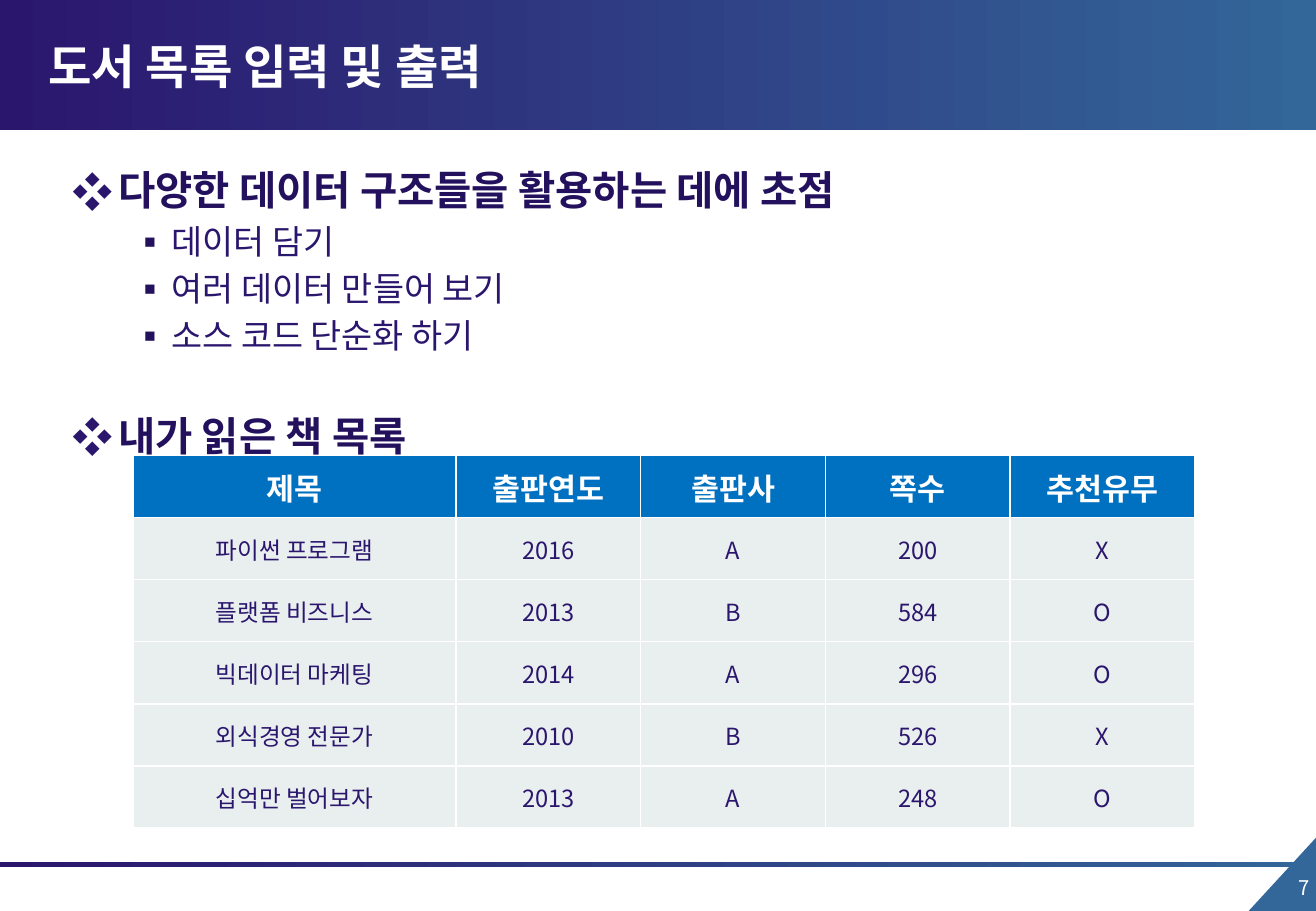
from dataclasses import dataclass

from lxml.etree import SubElement
from pptx import Presentation
from pptx.dml.color import RGBColor
from pptx.enum.shapes import MSO_SHAPE as Shp
from pptx.enum.text import MSO_ANCHOR as Anchor, PP_ALIGN as Align
from pptx.oxml.ns import qn
from pptx.util import Pt

W, H = 780, 540
KR = "Noto Sans CJK KR"
COLORS = {
    "navy": "2B166E",
    "ink": "23115D",
    "steel": "336699",
    "head": "0070C0",
    "row": "E9EEEE",
    "white": "FFFFFF",
}


@dataclass(frozen=True)
class Font:
    size: float
    color: str
    bold: bool = False
    latin: str = KR


@dataclass(frozen=True)
class Level:
    font: Font
    bullet: str
    bullet_color: str
    margin: float
    indent: float
    line: float


@dataclass(frozen=True)
class Item:
    level: Level
    text: str
    before: float


@dataclass(frozen=True)
class Box:
    left: float
    top: float
    width: float
    height: float

    def lengths(self) -> list:
        return [Pt(v) for v in (self.left, self.top, self.width, self.height)]


TITLE = Font(28, "white", True)
NUMBER = Font(12, "white")
HEAD_CELL = Font(18, "white", True)
BODY_CELL = Font(14, "navy")
HEADING = Level(Font(24, "ink", True, "Arial"), "❖", "navy", 27, -27, 29.3)
POINT = Level(Font(20, "navy", False, "Arial"), "▪", "ink", 58.5, -22.5, 23.85)

ITEMS = [
    Item(HEADING, "다양한 데이터 구조들을 활용하는 데에 초점", 0),
    Item(POINT, "데이터 담기", 4),
    Item(POINT, "여러 데이터 만들어 보기", 4),
    Item(POINT, "소스 코드 단순화 하기", 4),
    Item(HEADING, "내가 읽은 책 목록", 32.6),
]
BOOKS = [
    ("제목", "출판연도", "출판사", "쪽수", "추천유무"),
    ("파이썬 프로그램", "2016", "A", "200", "X"),
    ("플랫폼 비즈니스", "2013", "B", "584", "O"),
    ("빅데이터 마케팅", "2014", "A", "296", "O"),
    ("외식경영 전문가", "2010", "B", "526", "X"),
    ("십억만 벌어보자", "2013", "A", "248", "O"),
]
COL_WIDTHS = [191.5] + [109.5] * 4
ROW_HEIGHT = 36.8


def rgb(name: str) -> RGBColor:
    return RGBColor.from_string(COLORS[name])


def assign(target, values: dict) -> None:
    for name, value in values.items():
        setattr(target, name, value)


def add_run(p, text: str, font: Font) -> None:
    r = p.add_run()
    r.text = text
    assign(r.font, {"size": Pt(font.size), "bold": font.bold, "name": font.latin})
    r.font.color.rgb = rgb(font.color)
    SubElement(r.font._element, qn("a:ea"), typeface=KR)


def add_plain(s, shape: Shp, box: Box):
    sp = s.shapes.add_shape(shape, *box.lengths())
    sp.shadow.inherit = False
    sp.line.fill.background()
    return sp


def add_band(s, box: Box) -> None:
    fill = add_plain(s, Shp.RECTANGLE, box).fill
    fill.gradient()
    fill.gradient_angle = 0
    for stop, color, position in zip(fill.gradient_stops, ("navy", "steel"), (0, 1)):
        stop.color.rgb = rgb(color)
        stop.position = position


def add_corner(s, box: Box) -> None:
    sp = add_plain(s, Shp.RIGHT_TRIANGLE, box)
    sp.rotation = 270
    sp.fill.solid()
    sp.fill.fore_color.rgb = rgb("steel")


def add_frame(s, box: Box, anchor: Anchor = Anchor.TOP):
    tf = s.shapes.add_textbox(*box.lengths()).text_frame
    assign(tf, {"word_wrap": True, "vertical_anchor": anchor})
    return tf


def add_label(s, box: Box, text: str, font: Font, align: Align, anchor: Anchor) -> None:
    p = add_frame(s, box, anchor).paragraphs[0]
    p.alignment = align
    add_run(p, text, font)


def set_bullet(p, level: Level) -> None:
    pPr = p._p.get_or_add_pPr()
    pPr.set("marL", str(Pt(level.margin)))
    pPr.set("indent", str(Pt(level.indent)))
    color = SubElement(pPr, qn("a:buClr"))
    SubElement(color, qn("a:srgbClr"), val=COLORS[level.bullet_color])
    SubElement(pPr, qn("a:buFont"), typeface=KR)
    SubElement(pPr, qn("a:buChar"), char=level.bullet)


def add_items(s, box: Box, items: list[Item]) -> None:
    tf = add_frame(s, box)
    for i, item in enumerate(items):
        p = tf.add_paragraph() if i else tf.paragraphs[0]
        assign(p, {"space_before": Pt(item.before), "line_spacing": Pt(item.level.line)})
        set_bullet(p, item.level)
        add_run(p, item.text, item.level.font)


def set_borders(cell) -> None:
    tcPr = cell._tc.get_or_add_tcPr()
    for side in ("lnL", "lnR", "lnT", "lnB"):
        ln = SubElement(tcPr, qn(f"a:{side}"), w=str(Pt(1)))
        fill = SubElement(ln, qn("a:solidFill"))
        SubElement(fill, qn("a:srgbClr"), val=COLORS["white"])


def fill_cell(cell, text: str, font: Font, color: str) -> None:
    assign(cell, {
        "margin_left": Pt(0.7), "margin_right": Pt(0.7),
        "margin_top": Pt(0.7), "margin_bottom": Pt(0),
        "vertical_anchor": Anchor.MIDDLE,
    })
    set_borders(cell)
    cell.fill.solid()
    cell.fill.fore_color.rgb = rgb(color)
    p = cell.text_frame.paragraphs[0]
    p.alignment = Align.CENTER
    add_run(p, text, font)


def add_books(s, left: float, top: float) -> None:
    box = Box(left, top, sum(COL_WIDTHS), ROW_HEIGHT * len(BOOKS))
    table = s.shapes.add_table(len(BOOKS), len(COL_WIDTHS), *box.lengths()).table
    for column, width in zip(table.columns, COL_WIDTHS):
        column.width = Pt(width)
    for i, book in enumerate(BOOKS):
        table.rows[i].height = Pt(ROW_HEIGHT)
        font, color = (BODY_CELL, "row") if i else (HEAD_CELL, "head")
        for j, text in enumerate(book):
            fill_cell(table.cell(i, j), text, font, color)


prs = Presentation()
assign(prs, {"slide_width": Pt(W), "slide_height": Pt(H)})
s = prs.slides.add_slide(prs.slide_layouts[6])
add_corner(s, Box(738, 497.5, 44.6, 41))
add_band(s, Box(0, 511, W, 3))
add_band(s, Box(0, 0, W, 77))
add_label(s, Box(739.5, 515.5, 44, 29.5), "7", NUMBER, Align.RIGHT, Anchor.TOP)
add_label(s, Box(21.6, 16.6, 584.6, 44.6), "도서 목록 입력 및 출력", TITLE, Align.LEFT, Anchor.MIDDLE)
add_items(s, Box(36, 94, 705.6, 176), ITEMS)
add_books(s, 78.8, 270)
prs.save("out.pptx")
